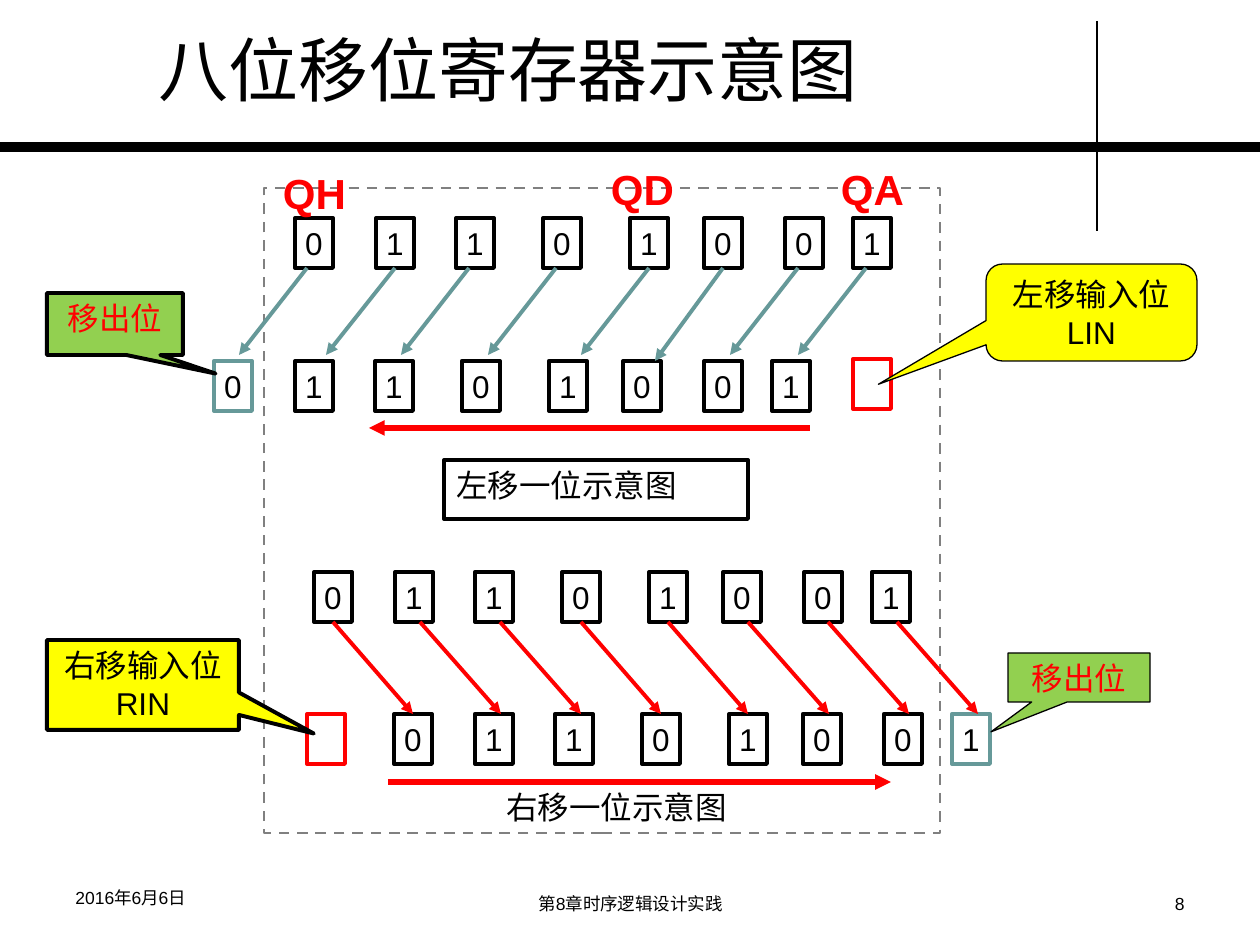
from lxml import etree
from pptx import Presentation
from pptx.dml.color import RGBColor
from pptx.enum.dml import MSO_LINE
from pptx.enum.shapes import MSO_CONNECTOR, MSO_SHAPE
from pptx.enum.text import MSO_ANCHOR, PP_ALIGN
from pptx.oxml.ns import qn
from pptx.util import Pt

PX = 914400 / 126
BLACK, RED, TEAL, YELLOW, GREEN, GREY = "000000", "FF0000", "669999", "FFFF00", "92D050", "808080"

prs = Presentation()
prs.slide_width, prs.slide_height = round(1260 * PX), round(945 * PX)
slide = prs.slides.add_slide(prs.slide_layouts[6])


def add_box(box, text="", kind=None, line=None, width=2.25, fill=None, size=18, color=BLACK,
            bold=False, align=PP_ALIGN.CENTER, anchor=MSO_ANCHOR.TOP, wrap=True, adj=()):
    at = [round(v * PX) for v in box]
    if kind is None:
        s = slide.shapes.add_textbox(*at)
    else:
        s = slide.shapes.add_shape(kind, *at)
        s.shadow.inherit = False
        s.line.color.rgb = RGBColor.from_string(line)
        s.line.width = Pt(width)
        if fill:
            s.fill.solid()
            s.fill.fore_color.rgb = RGBColor.from_string(fill)
        else:
            s.fill.background()
        for i, value in enumerate(adj):
            s.adjustments[i] = value
    tf = s.text_frame
    for name, value in {"word_wrap": wrap, "vertical_anchor": anchor}.items():
        setattr(tf, name, value)
    for i, words in enumerate(text.split("\n") if text else []):
        p = tf.add_paragraph() if i else tf.paragraphs[0]
        p.alignment = align
        r = p.add_run()
        r.text = words
        for name, value in {"name": "Arial", "size": Pt(size), "bold": bold}.items():
            setattr(r.font, name, value)
        r.font.color.rgb = RGBColor.from_string(color)
    return s


def add_line(x1, y1, x2, y2, color, width, arrow=True):
    ends = [round(v * PX) for v in (x1, y1, x2, y2)]
    c = slide.shapes.add_connector(MSO_CONNECTOR.STRAIGHT, *ends)
    c.line.color.rgb = RGBColor.from_string(color)
    c.line.width = Pt(width)
    if arrow:
        etree.SubElement(c.line._get_or_add_ln(), qn("a:tailEnd"), type="triangle")
    etree.SubElement(c._element.spPr, qn("a:effectLst"))
    return c


add_line(1097, 21, 1097, 231, BLACK, 0.75, arrow=False)
add_line(0, 147, 1260, 147, BLACK, 6, arrow=False)
frame = add_box((264, 188, 676, 645), kind=MSO_SHAPE.RECTANGLE, line=GREY, width=1.5)
frame.line.dash_style = MSO_LINE.DASH

BITS = "01101001"
OFFSETS = [0, 81, 161, 248, 335, 409, 490, 558]
CELL_W, CELL_H = 38, 50
ROWS = [(295, 218, None), (214, 361, 0), (314, 572, None), (394, 714, 7)]
rows = []
for left, top, shifted_out in ROWS:
    cells = []
    for i, (bit, offset) in enumerate(zip(BITS, OFFSETS)):
        cells.append(add_box((left + offset, top, CELL_W, CELL_H), bit, MSO_SHAPE.RECTANGLE,
                             TEAL if i == shifted_out else BLACK,
                             anchor=MSO_ANCHOR.MIDDLE, wrap=False))
    rows.append(cells)
for left, top in [(853, 359), (307, 714)]:
    add_box((left, top, CELL_W, CELL_H), kind=MSO_SHAPE.RECTANGLE, line=RED)

LEFT_STARTS = [307, 394, 469, 556, 649, 723, 798, 866]
for i, x in enumerate(LEFT_STARTS):
    drop = 6 if i == 5 else 0
    c = add_line(x, 268 + drop, x - 68, 355 + drop, TEAL, 2.25)
    if abs(x - (295 + OFFSETS[i] + CELL_W / 2)) <= 1:
        c.begin_connect(rows[0][i], 2)

RIGHT_STARTS = [333, 420, 500, 581, 668, 748, 828, 897]
for i, x in enumerate(RIGHT_STARTS):
    c = add_line(x, 622, x + 81, 714, RED, 2.25)
    if abs(x - (314 + OFFSETS[i] + CELL_W / 2)) <= 1:
        c.begin_connect(rows[2][i], 2)
        c.end_connect(rows[3][i], 0)

add_box((444, 460, 304, 59), "左移一位示意图", MSO_SHAPE.RECTANGLE, BLACK, align=PP_ALIGN.LEFT)
add_box((494, 782, 304, 54), "右移一位示意图", align=PP_ALIGN.LEFT)

RECT_CALLOUT = MSO_SHAPE.RECTANGULAR_CALLOUT
add_box((986, 264, 211, 97), "左移输入位\nLIN", MSO_SHAPE.ROUNDED_RECTANGULAR_CALLOUT,
        BLACK, 0.75, YELLOW, adj=(-1.01, 0.74, 0.17))
add_box((47, 293, 136, 62), "移出位", RECT_CALLOUT, BLACK, 2.25, GREEN, color=RED, adj=(0.74, 0.8))
add_box((47, 640, 192, 90), "右移输入位\nRIN", RECT_CALLOUT, BLACK, 2.25, YELLOW, adj=(0.89, 0.54))
add_box((1008, 653, 142, 49), "移出位", RECT_CALLOUT, BLACK, 0.75, GREEN, color=RED, adj=(-0.62, 1.11))

add_box((146, 20, 775, 97), "八位移位寄存器示意图", size=40, align=PP_ALIGN.LEFT)
for left, top, name in [(270, 161, "QH"), (828, 157, "QA"), (598, 157, "QD")]:
    add_box((left, top, 89, 63), name, size=24, color=RED, bold=True, wrap=False)

add_box((903, 887, 294, 37), "8", size=10, align=PP_ALIGN.RIGHT)
add_box((431, 887, 399, 37), "第8章时序逻辑设计实践", size=10)
add_box((63, 881, 294, 43), "2016年6月6日", size=10, align=PP_ALIGN.LEFT)

add_line(810, 428, 369, 428, RED, 3)
add_line(388, 782, 891, 782, RED, 3)

prs.save("out.pptx")
